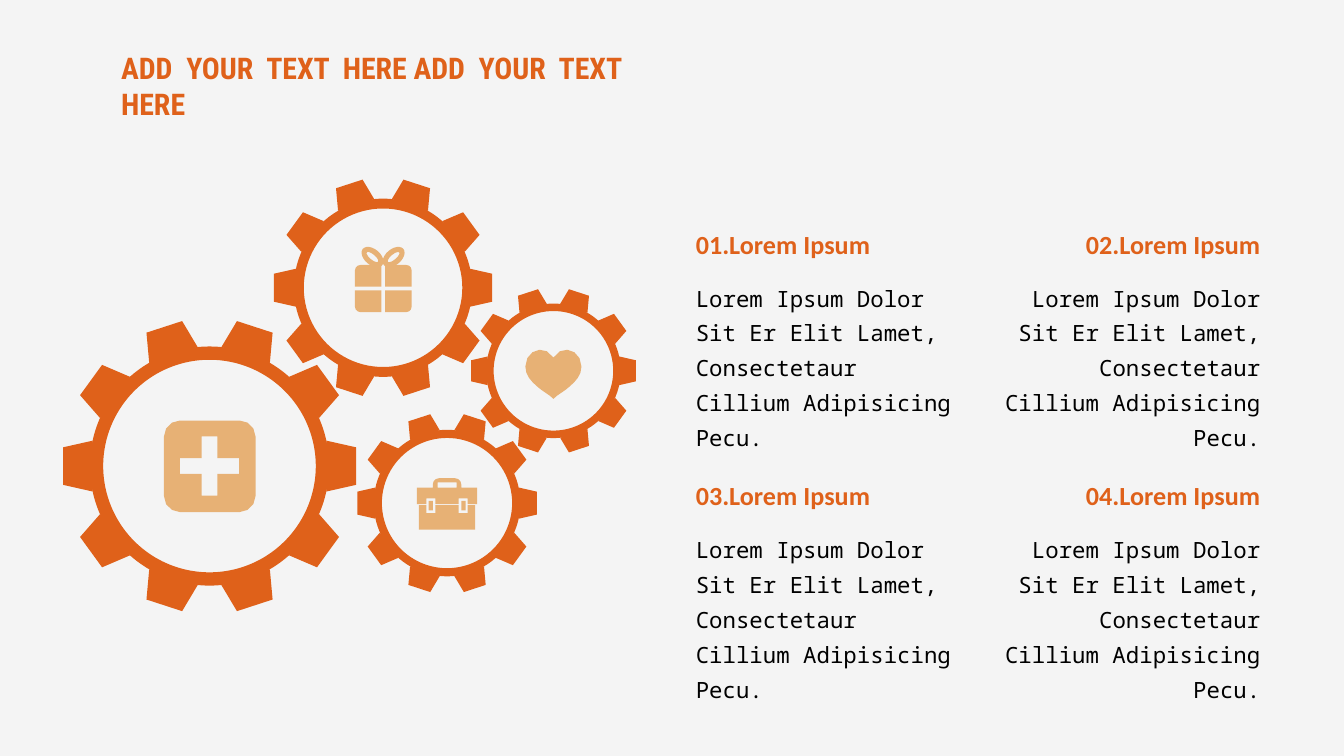
"""Build a slide of four interlocking icon gears beside four numbered paragraphs."""
from dataclasses import dataclass
from math import cos, radians, sin

from pptx import Presentation
from pptx.dml.color import RGBColor
from pptx.enum.shapes import MSO_SHAPE
from pptx.enum.text import MSO_ANCHOR, MSO_AUTO_SIZE, PP_ALIGN
from pptx.util import Cm, Pt

Point = tuple[float, float]
Contour = list[Point]

COLORS = {"paper": "F4F4F4", "gear": "DF611A", "icon": "E7B175", "ink": "000000"}
LOREM = "Lorem Ipsum Dolor Sit Er Elit Lamet, Consectetaur Cillium Adipisicing Pecu."


@dataclass(frozen=True)
class Gear:
    x: float
    y: float
    radius: float


@dataclass(frozen=True)
class Topic:
    heading: str
    left: float
    top: float
    align: PP_ALIGN


HEALTH = Gear(3.96, 8.81, 2.79)
GIFT = Gear(7.24, 5.44, 2.08)
WORK = Gear(8.45, 9.51, 1.71)
LOVE = Gear(10.46, 7.01, 1.57)

TOPICS = [
    Topic(f"{2 * row + column + 1:02}.Lorem Ipsum", left, top, align)
    for row, top in enumerate((4.19, 8.94))
    for column, (left, align) in enumerate(((12.9, PP_ALIGN.LEFT), (18.69, PP_ALIGN.RIGHT)))
]


def polar(x: float, y: float, radius: float, degrees: float) -> Point:
    return x + radius * cos(radians(degrees)), y + radius * sin(radians(degrees))


def rounded_box(left: float, top: float, width: float, height: float,
                radii: tuple[float, ...] = (0, 0, 0, 0)) -> Contour:
    """Trace a box clockwise; radii run from the top left corner."""
    right, bottom = left + width, top + height
    corners = ((left, top, 1, 1), (right, top, -1, 1),
               (right, bottom, -1, -1), (left, bottom, 1, -1))
    points = []
    for index, ((x, y, dx, dy), radius) in enumerate(zip(corners, radii)):
        angles = range(180 + 90 * index, 271 + 90 * index, 30) if radius else (0,)
        points += [polar(x + dx * radius, y + dy * radius, radius, a) for a in angles]
    return points


def mirrored(x: float, half: Contour) -> Contour:
    """Complete a left half, given as offsets from the axis, with its reflection."""
    return [(x + dx, y) for dx, y in half] + [(x - dx, y) for dx, y in reversed(half)]


def bezier(a: Point, b: Point, c: Point, d: Point, steps: int = 5) -> Contour:
    def blend(axis: int, t: float) -> float:
        u = 1 - t
        return (u**3 * a[axis] + 3 * u * u * t * b[axis]
                + 3 * u * t * t * c[axis] + t**3 * d[axis])
    return [(blend(0, k / steps), blend(1, k / steps)) for k in range(steps)]


def paint(shape, color: str) -> None:
    shape.shadow.inherit = False
    shape.fill.solid()
    shape.fill.fore_color.rgb = RGBColor.from_string(COLORS[color])
    shape.line.fill.background()


def draw_outline(slide, contours: list[Contour], color: str) -> None:
    """Draw contours as one filled freeform, inner contours being holes."""
    paths = [[(Cm(x), Cm(y)) for x, y in contour] for contour in contours]
    builder = slide.shapes.build_freeform(*paths[0][0])
    for index, path in enumerate(paths):
        if index:
            builder.move_to(*path[0])
        builder.add_line_segments(path[1:], close=True)
    paint(builder.convert_to_shape(), color)


def draw_ring(slide, x: float, y: float, rx: float, ry: float, thickness: float,
              color: str, tilt: float = 0) -> None:
    ring = slide.shapes.add_shape(MSO_SHAPE.DONUT, Cm(x - rx), Cm(y - ry),
                                  Cm(2 * rx), Cm(2 * ry))
    ring.adjustments[0] = thickness / (2 * min(rx, ry))
    ring.rotation = tilt
    paint(ring, color)


def draw_gear(slide, gear: Gear) -> None:
    tooth = ((0.81, -12.3), (1, -7.3), (1, 7.3), (0.81, 12.3))
    teeth = [[polar(gear.x, gear.y, gear.radius * share, 36 * number + angle)
              for share, angle in tooth] for number in range(10)]
    draw_outline(slide, teeth, "gear")
    rim = gear.radius * 0.81
    draw_ring(slide, gear.x, gear.y, rim, rim, gear.radius * 0.09, "gear")


def draw_cross(slide, x: float, y: float) -> None:
    tile = rounded_box(x - 0.86, y - 0.86, 1.73, 1.73, (0.3,) * 4)
    arm, thin = 0.56, 0.15
    plus = mirrored(x, [(-thin, y - arm), (-thin, y - thin), (-arm, y - thin),
                        (-arm, y + thin), (-thin, y + thin), (-thin, y + arm)])
    draw_outline(slide, [tile, plus], "icon")


def draw_gift(slide, x: float) -> None:
    for side in (1, -1):
        draw_ring(slide, x + side * 0.2, 4.86, 0.24, 0.15, 0.1, "icon", -40 * side)
    for row, top in enumerate((5.01, 5.49)):
        for column, left in enumerate((x - 0.53, x + 0.04)):
            radii = [0, 0, 0, 0]
            radii[3 - column if row else column] = 0.1
            draw_outline(slide, [rounded_box(left, top, 0.5, 0.41, tuple(radii))], "icon")


def draw_briefcase(slide, x: float) -> None:
    handle = rounded_box(x - 0.27, 9.04, 0.54, 0.18, (0.12, 0.12, 0, 0))
    grip = rounded_box(x - 0.18, 9.12, 0.36, 0.1)
    flap = mirrored(x, [(-0.57, 9.22), (-0.57, 9.53), (-0.39, 9.53),
                        (-0.39, 9.42), (-0.22, 9.42), (-0.22, 9.53)])
    case = mirrored(x, [(-0.53, 10.01), (-0.53, 9.55), (-0.39, 9.55),
                        (-0.39, 9.7), (-0.22, 9.7), (-0.22, 9.55)])
    clasps = [rounded_box(x + offset - 0.04, 9.47, 0.08, 0.18) for offset in (-0.31, 0.31)]
    draw_outline(slide, [handle, grip, flap, case, *clasps], "icon")


def draw_heart(slide, x: float) -> None:
    half = (bezier((0, 6.76), (-0.18, 6.48), (-0.53, 6.63), (-0.53, 6.93))
            + bezier((-0.53, 6.93), (-0.53, 7.14), (-0.36, 7.26), (-0.23, 7.37))
            + [(-0.23, 7.37), (-0.07, 7.48), (0, 7.54)])
    draw_outline(slide, [mirrored(x, half)], "icon")


def write(shape, text: str, *, font: str, size: float, color: str, bold: bool = False,
          align: PP_ALIGN = PP_ALIGN.LEFT, spacing: float = 1.0,
          insets: tuple[float, float] = (0.25, 0.13)) -> None:
    frame = shape.text_frame
    frame.word_wrap = True
    frame.auto_size = MSO_AUTO_SIZE.SHAPE_TO_FIT_TEXT
    frame.vertical_anchor = MSO_ANCHOR.TOP
    frame.margin_left = frame.margin_right = Cm(insets[0])
    frame.margin_top = frame.margin_bottom = Cm(insets[1])
    paragraph = frame.paragraphs[0]
    paragraph.alignment = align
    paragraph.line_spacing = spacing
    run = paragraph.add_run()
    run.text = text
    run.font.name, run.font.size, run.font.bold = font, Pt(size), bold
    run.font.color.rgb = RGBColor.from_string(COLORS[color])


def draw_topic(slide, topic: Topic) -> None:
    heading = slide.shapes.add_textbox(Cm(topic.left), Cm(topic.top), Cm(5.38), Cm(0.86))
    write(heading, topic.heading, font="Calibri", size=14, color="gear", bold=True,
          align=topic.align)
    detail = slide.shapes.add_textbox(Cm(topic.left), Cm(topic.top + 0.91), Cm(5.38), Cm(2.26))
    write(detail, LOREM, font="Noto Sans Mono", size=12, color="ink", align=topic.align,
          spacing=1.3)


def main() -> None:
    deck = Presentation()
    deck.slide_width, deck.slide_height = Cm(25.4), Cm(14.29)
    slide = deck.slides.add_slide(deck.slide_layouts[5])
    slide.background.fill.solid()
    slide.background.fill.fore_color.rgb = RGBColor.from_string(COLORS["paper"])

    title = slide.shapes.title
    title.left, title.top, title.width, title.height = Cm(2.11), Cm(0.84), Cm(10.52), Cm(0.89)
    write(title, "ADD  YOUR  TEXT  HERE ADD  YOUR  TEXT  HERE", font="Roboto Condensed",
          size=16, color="gear", bold=True, insets=(0.18, 0.1))

    for gear in (HEALTH, GIFT, WORK, LOVE):
        draw_gear(slide, gear)
    draw_cross(slide, HEALTH.x, HEALTH.y)
    draw_gift(slide, GIFT.x)
    draw_briefcase(slide, WORK.x)
    draw_heart(slide, LOVE.x)
    for topic in TOPICS:
        draw_topic(slide, topic)
    deck.save("out.pptx")


if __name__ == "__main__":
    main()
